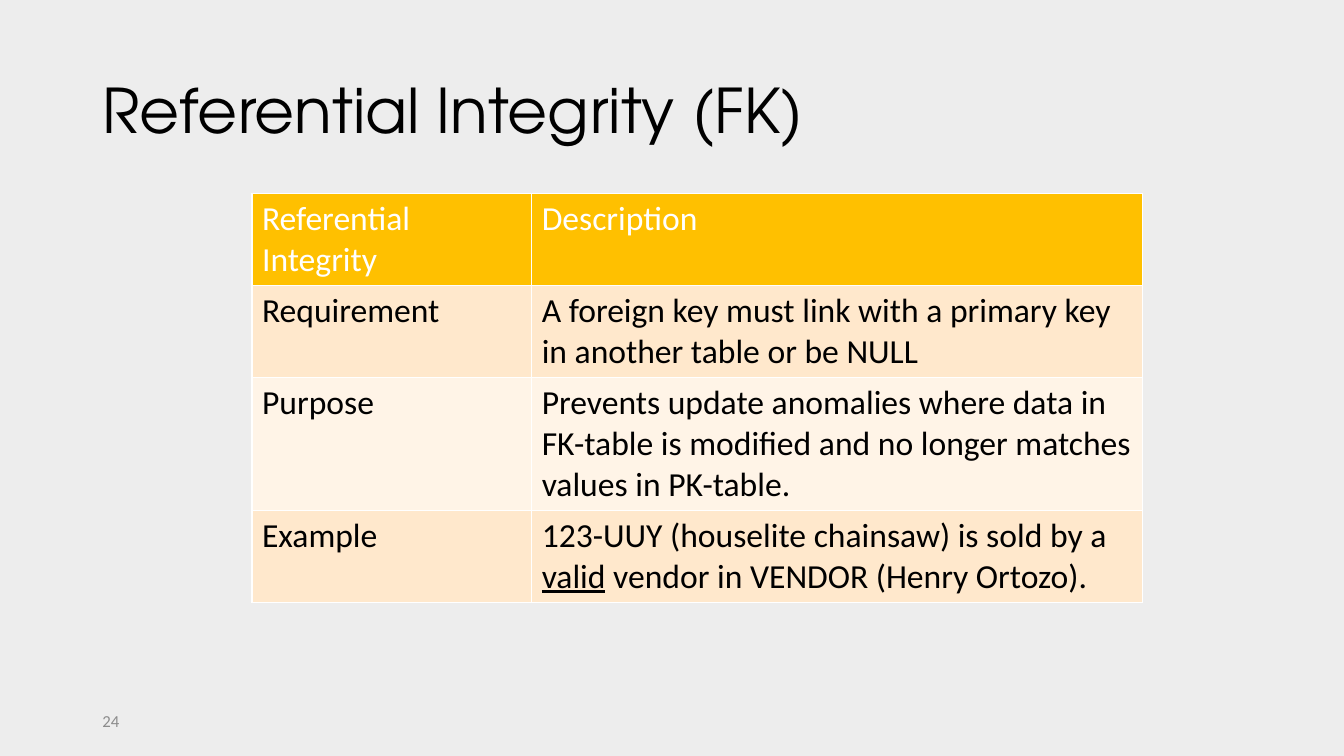
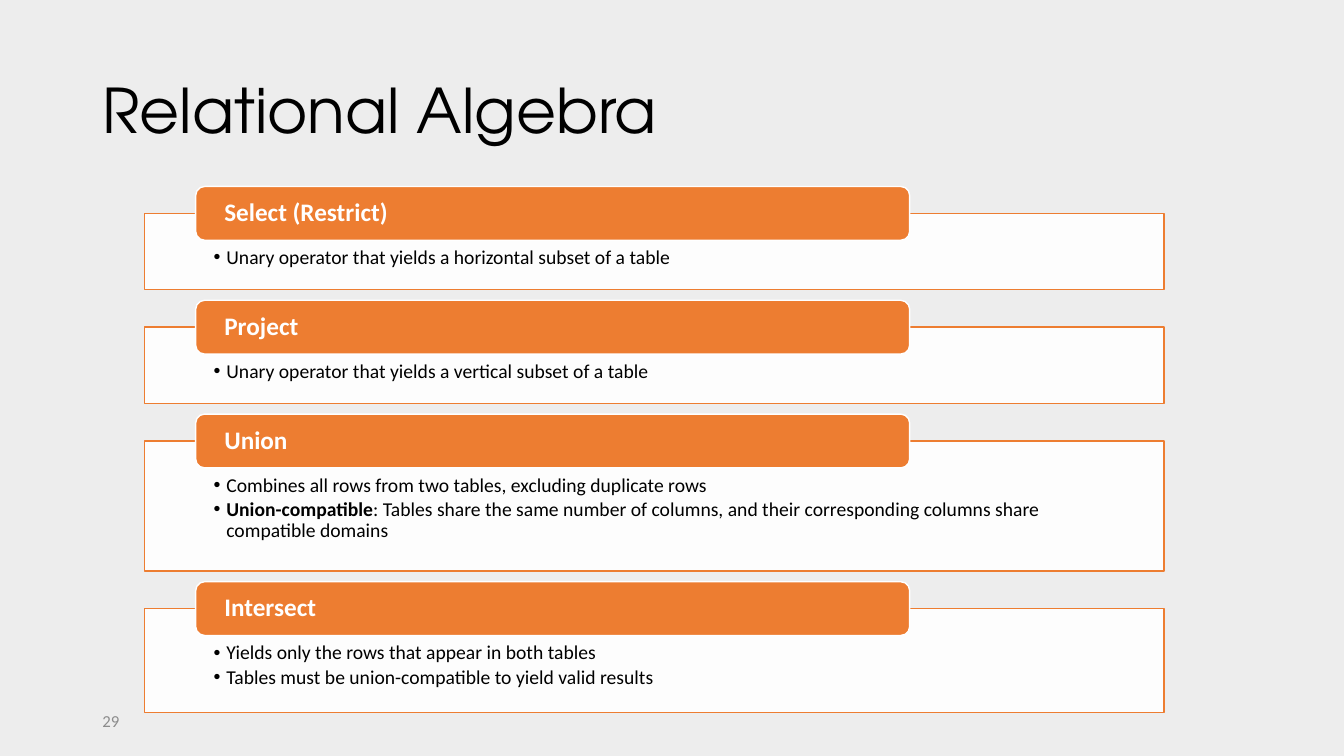
from dataclasses import dataclass, field
from typing import Any

from lxml import etree
from pptx import Presentation
from pptx.dml.color import RGBColor
from pptx.enum.shapes import MSO_SHAPE
from pptx.enum.text import MSO_ANCHOR, MSO_AUTO_SIZE, PP_ALIGN
from pptx.oxml.ns import qn
from pptx.util import Emu, Pt

RECTANGLE = MSO_SHAPE.RECTANGLE
ROUNDED = MSO_SHAPE.ROUNDED_RECTANGLE
LEFT = PP_ALIGN.LEFT
TOP, MIDDLE = MSO_ANCHOR.TOP, MSO_ANCHOR.MIDDLE
NO_AUTOFIT = MSO_AUTO_SIZE.NONE

GRID_COLUMNS, GRID_ROWS = 160, 90
CELL = 76200
TITLE_ONLY = 5

COLORS = {
    "background": "EDEDED",
    "ink": "000000",
    "white": "FFFFFF",
    "number": "8C8C8C",
    "table_head": "FFC000",
    "band_dark": "FFE8CC",
    "band_light": "FFF4E7",
    "accent": "ED7D31",
}

BODY_FONT = "Calibri"
TITLE_FONT = {"name": "TeX Gyre Adventor", "size": Pt(44), "bold": False}
NUMBER_FONT = {"name": BODY_FONT, "size": Pt(12)}
TABLE_FONT = {"name": BODY_FONT, "size": Pt(24), "bold": False}
HEADING_FONT = {"name": BODY_FONT, "size": Pt(18), "bold": True}
BULLET_FONT = {"name": BODY_FONT, "size": Pt(14)}

PLAIN_PARAGRAPH = {"alignment": LEFT}
TIGHT_PARAGRAPH = {"alignment": LEFT, "line_spacing": 0.9}
BULLET_PARAGRAPH = {**TIGHT_PARAGRAPH, "space_before": Pt(0), "space_after": Pt(2.1)}


@dataclass(frozen=True)
class Area:
    column: float
    row: float
    columns: float
    rows: float

    def emu(self) -> list[Emu]:
        return [grid(n) for n in (self.column, self.row, self.columns, self.rows)]


@dataclass(frozen=True)
class Span:
    text: str
    emphasis: dict[str, Any] = field(default_factory=dict)


@dataclass(frozen=True)
class TableRow:
    label: str
    description: list[Span]
    lines: int
    fill: str
    ink: str = "ink"


@dataclass(frozen=True)
class Operator:
    name: str
    points: list[list[Span]]
    rows: float


TITLE_AREA = Area(11, 4.8, 138, 17.4)
NUMBER_AREA = Area(11, 83.4, 36, 4.8)

TABLE_LEFT, TABLE_TOP = 30, 23
TABLE_COLUMNS = (33.3, 72.7)
TABLE_LINE, TABLE_PADDING = 4.8, 1.2

INTEGRITY_ROWS = [
    TableRow("Referential Integrity", [Span("Description")], 2, "table_head", "white"),
    TableRow(
        "Requirement",
        [Span("A foreign key must link with a primary key in another table or be NULL")],
        2,
        "band_dark",
    ),
    TableRow(
        "Purpose",
        [Span("Prevents update anomalies where data in FK-table is modified "
              "and no longer matches values in PK-table.")],
        3,
        "band_light",
    ),
    TableRow(
        "Example",
        [Span("123-UUY (houselite chainsaw) is sold by a "),
         Span("valid", {"underline": True}),
         Span(" vendor in VENDOR (Henry Ortozo).")],
        2,
        "band_dark",
    ),
]

PANEL_LEFT, PANEL_TOP, PANEL_COLUMNS = 17.2, 25.4, 121.4
PANEL_GAP = 4.45
PANEL_INSETS = (8.25, 4.1, 8.25, 1.5)
HEADING_LEFT, HEADING_COLUMNS, HEADING_ROWS = 23.3, 85, 6.4
HEADING_INSETS = (3.1, 0.2, 3.1, 0.2)
BULLET_INDENT = 1.5

OPERATORS = [
    Operator(
        "Select (Restrict)",
        [[Span("Unary operator that yields a horizontal subset of a table")]],
        9.1,
    ),
    Operator(
        "Project",
        [[Span("Unary operator that yields a vertical subset of a table")]],
        9.1,
    ),
    Operator(
        "Union",
        [[Span("Combines all rows from two tables, excluding duplicate rows")],
         [Span("Union-compatible", {"bold": True}),
          Span(": Tables share the same number of columns, "
               "and their corresponding columns share compatible domains")]],
        15.5,
    ),
    Operator(
        "Intersect",
        [[Span("Yields only the rows that appear in both tables")],
         [Span("Tables must be union-compatible to yield valid results")]],
        12.35,
    ),
]


def grid(cells: float) -> Emu:
    return Emu(round(cells * CELL))


def color(name: str) -> RGBColor:
    return RGBColor.from_string(COLORS[name])


def apply(target: Any, values: dict[str, Any]) -> None:
    for attribute, value in values.items():
        setattr(target, attribute, value)


def write(paragraph: Any, spans: list[Span], font: dict[str, Any], ink: str,
          layout: dict[str, Any]) -> None:
    apply(paragraph, layout)
    for span in spans:
        run = paragraph.add_run()
        run.text = span.text
        apply(run.font, {**font, **span.emphasis})
        run.font.color.rgb = color(ink)


def add_bullet(paragraph: Any) -> None:
    properties = paragraph._p.get_or_add_pPr()
    properties.set("marL", str(grid(BULLET_INDENT)))
    properties.set("indent", str(-grid(BULLET_INDENT)))
    etree.SubElement(properties, qn("a:buFont"), typeface="Arial")
    etree.SubElement(properties, qn("a:buChar"), char="•")


def add_box(slide: Any, preset: Any, area: Area, fill: str, line: str,
            insets: tuple[float, ...], anchor: Any) -> Any:
    box = slide.shapes.add_shape(preset, *area.emu())
    box.shadow.inherit = False
    box.fill.solid()
    box.fill.fore_color.rgb = color(fill)
    box.line.color.rgb = color(line)
    box.line.width = Pt(1)
    sides = ("margin_left", "margin_top", "margin_right", "margin_bottom")
    apply(box.text_frame, dict(zip(sides, map(grid, insets))))
    apply(box.text_frame, {"word_wrap": True, "vertical_anchor": anchor})
    return box


def add_titled_slide(deck: Any, title: str, number: str) -> Any:
    slide = deck.slides.add_slide(deck.slide_layouts[TITLE_ONLY])
    heading = slide.shapes.title
    page = slide.shapes.add_textbox(*NUMBER_AREA.emu())
    apply(heading, dict(zip(("left", "top", "width", "height"), TITLE_AREA.emu())))
    for holder, text, font, ink, layout in (
        (heading, title, TITLE_FONT, "ink", TIGHT_PARAGRAPH),
        (page, number, NUMBER_FONT, "number", PLAIN_PARAGRAPH),
    ):
        frame = holder.text_frame
        apply(frame, {"word_wrap": True, "vertical_anchor": MIDDLE,
                      "auto_size": NO_AUTOFIT})
        write(frame.paragraphs[0], [Span(text)], font, ink, layout)
    return slide


def add_integrity_table(slide: Any, rows: list[TableRow]) -> None:
    heights = [row.lines * TABLE_LINE + TABLE_PADDING for row in rows]
    area = Area(TABLE_LEFT, TABLE_TOP, sum(TABLE_COLUMNS), sum(heights))
    table = slide.shapes.add_table(len(rows), len(TABLE_COLUMNS), *area.emu()).table
    table.horz_banding = False
    for column, width in zip(table.columns, TABLE_COLUMNS):
        column.width = grid(width)
    for table_row, row, height in zip(table.rows, rows, heights):
        table_row.height = grid(height)
        for cell, spans in zip(table_row.cells, ([Span(row.label)], row.description)):
            cell.fill.solid()
            cell.fill.fore_color.rgb = color(row.fill)
            write(cell.text_frame.paragraphs[0], spans, TABLE_FONT, row.ink,
                  PLAIN_PARAGRAPH)


def add_operator(slide: Any, operator: Operator, top: float) -> None:
    panel = add_box(slide, RECTANGLE, Area(PANEL_LEFT, top, PANEL_COLUMNS, operator.rows),
                    "white", "accent", PANEL_INSETS, TOP)
    fill_color = panel._element.spPr.find(qn("a:solidFill"))[0]
    etree.SubElement(fill_color, qn("a:alpha"), val="90000")
    frame = panel.text_frame
    for index, spans in enumerate(operator.points):
        paragraph = frame.add_paragraph() if index else frame.paragraphs[0]
        add_bullet(paragraph)
        write(paragraph, spans, BULLET_FONT, "ink", BULLET_PARAGRAPH)
    heading_area = Area(HEADING_LEFT, top - HEADING_ROWS / 2, HEADING_COLUMNS, HEADING_ROWS)
    heading = add_box(slide, ROUNDED, heading_area, "accent", "white",
                      HEADING_INSETS, MIDDLE)
    write(heading.text_frame.paragraphs[0], [Span(operator.name)], HEADING_FONT,
          "white", TIGHT_PARAGRAPH)


def main() -> None:
    deck = Presentation()
    deck.slide_width, deck.slide_height = grid(GRID_COLUMNS), grid(GRID_ROWS)
    background = deck.slide_master.background.fill
    background.solid()
    background.fore_color.rgb = color("background")

    integrity = add_titled_slide(deck, "Referential Integrity (FK)", "24")
    add_integrity_table(integrity, INTEGRITY_ROWS)

    algebra = add_titled_slide(deck, "Relational Algebra", "29")
    top = PANEL_TOP
    for operator in OPERATORS:
        add_operator(algebra, operator, top)
        top += operator.rows + PANEL_GAP

    deck.save("out.pptx")


if __name__ == "__main__":
    main()
